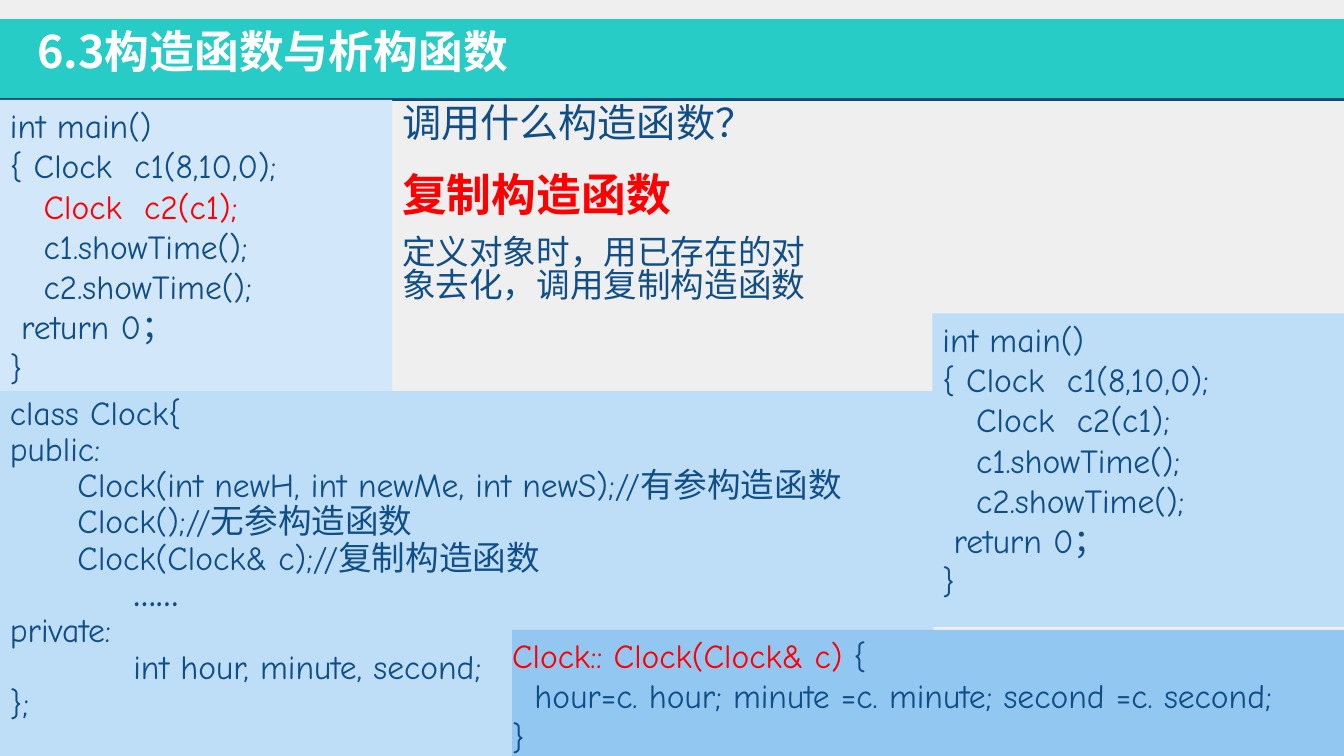
from lxml import etree
from pptx import Presentation
from pptx import util as u
from pptx.dml.color import RGBColor
from pptx.enum import shapes, text
from pptx.oxml import ns

COLORS = {
    "back": "EFEFEF", "bar": "26CCC5", "rule": "104D7E", "ink": "104E87",
    "red": "FF0000", "white": "FFFFFF",
    "pale": "D2E8FA", "light": "BEDDF7", "mid": "92C7F2",
}
CODE, HAN = "Comic Neue", "Noto Sans CJK JP"
MAIN = ["int main()", "{ Clock  c1(8,10,0);", "   Clock  c2(c1);", "   c1.showTime();",
        "   c2.showTime();", " return 0；", "}"]
CLASS = ["class Clock{", "public:",
         "\tClock(int newH, int newMe, int newS);//有参构造函数",
         "\tClock();//无参构造函数", "\tClock(Clock& c);//复制构造函数",
         [("           ", {}), ("……", {"bold": True})],
         "private:", "           int hour, minute, second;", "};"]
COPY = [[("Clock:: Clock(Clock& c) ", {"color": "red"}), ("{", {})],
        "  hour=c. hour; minute =c. minute; second =c. second;", "}"]


def rgb(name):
    return RGBColor.from_string(COLORS[name])


def add_text(p, content, size=24, font=CODE, color="ink", bold=False):
    r = p.add_run()
    r.text = content
    f = r.font
    f.size, f.name, f.bold = u.Pt(size), font, bold
    f.color.rgb = rgb(color)
    ea = etree.SubElement(r._r.get_or_add_rPr(), ns.qn("a:ea"))
    ea.set("typeface", font)


class Deck:
    def __init__(self, width, height):
        self.prs = Presentation()
        self.prs.slide_width, self.prs.slide_height = u.Inches(width), u.Inches(height)
        self.s = self.prs.slides.add_slide(self.prs.slide_layouts[6])
        fill = self.s.background.fill
        fill.solid()
        fill.fore_color.rgb = rgb("back")

    def place(self, x, y, w, h):
        width, height = self.prs.slide_width, self.prs.slide_height
        return [u.Emu(round(share * side / 100))
                for share, side in ((x, width), (y, height), (w, width), (h, height))]

    def panel(self, box, color):
        sp = self.s.shapes.add_shape(shapes.MSO_SHAPE.RECTANGLE, *self.place(*box))
        sp.shadow.inherit = False
        sp.fill.solid()
        sp.fill.fore_color.rgb = rgb(color)
        sp.line.fill.background()
        return sp

    def rule(self, y, color, weight):
        x, top, w, _ = self.place(0, y, 100, 0)
        line = self.s.shapes.add_connector(shapes.MSO_CONNECTOR.STRAIGHT, x, top, w, top)
        line.line.color.rgb = rgb(color)
        line.line.width = u.Pt(weight)
        etree.SubElement(line._element.spPr, ns.qn("a:effectLst"))

    def fill_lines(self, tf, lines, spacing=None, tab=None, **style):
        tf.word_wrap = True
        tf.vertical_anchor = text.MSO_ANCHOR.TOP
        for i, line in enumerate(lines):
            p = tf.add_paragraph() if i else tf.paragraphs[0]
            p.alignment = text.PP_ALIGN.LEFT
            p.line_spacing = spacing
            if tab:
                stops = etree.SubElement(p._p.get_or_add_pPr(), ns.qn("a:tabLst"))
                etree.SubElement(stops, ns.qn("a:tab"), pos=str(u.Inches(tab)), algn="l")
            for content, extra in [(line, {})] if isinstance(line, str) else line:
                add_text(p, content, **{**style, **extra})

    def label(self, box, content, spacing, **style):
        sp = self.s.shapes.add_textbox(*self.place(*box))
        self.fill_lines(sp.text_frame, [content], spacing, font=HAN, **style)

    def code(self, box, color, lines, margin=0.1, **layout):
        tf = self.panel(box, color).text_frame
        tf.margin_left = tf.margin_right = u.Inches(margin)
        self.fill_lines(tf, lines, **layout)


def main():
    deck = Deck(13.33, 7.5)
    deck.panel((0, 2.53, 100, 10.67), "bar")
    deck.rule(13.2, "rule", 2)
    deck.label((2.03, 3.33, 65.85, 8.53), "6.3构造函数与析构函数", 0.9,
               size=32, color="white", bold=True)

    marked = [[(line, {"color": "red"})] if "c2(c1)" in line else line for line in MAIN]
    deck.code((0, 13.2, 29.18, 39.07), "pale", marked)

    left = 29.18
    deck.label((left, 13.07, 50.48, 7.6), "调用什么构造函数？", 0.9, size=28)
    deck.label((left, 19.2, 24.08, 11.2), "复制构造函数", 1.3, size=32, color="red", bold=True)
    deck.label((left, 30.8, 33.3, 12.13),
               "定义对象时，用已存在的对象去化，调用复制构造函数", 0.82)

    deck.code((0, 51.73, 69.45, 48.27), "light", CLASS, spacing=0.9, tab=0.67)
    deck.code((69.38, 41.47, 30.62, 41.47), "light", MAIN)
    deck.code((38.1, 83.33, 61.9, 16.67), "mid", COPY, margin=0)
    deck.prs.save("out.pptx")


if __name__ == "__main__":
    main()
